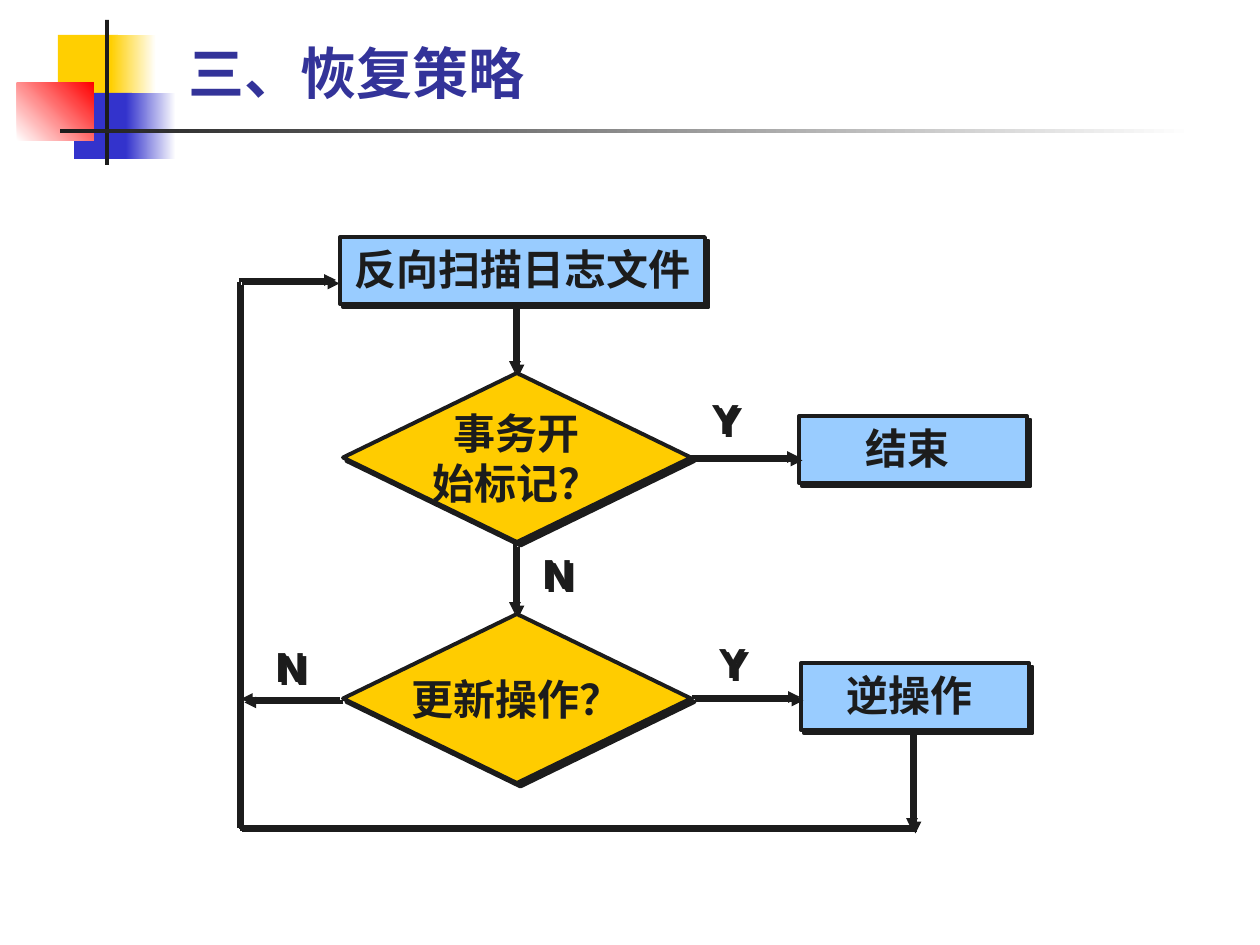
from dataclasses import dataclass

from lxml.etree import SubElement
from pptx import Presentation
from pptx.dml.color import RGBColor
from pptx.enum.shapes import MSO_CONNECTOR as CONN, MSO_SHAPE as SHAPE
from pptx.enum.text import MSO_ANCHOR as ANCHOR, PP_ALIGN as ALIGN
from pptx.oxml.ns import qn
from pptx.util import Emu, Pt

SCALE = 914400 / 126


@dataclass(frozen=True)
class Theme:
    ink: str = "1C1C1C"
    title: str = "333399"
    yellow: str = "FFCF01"
    blue: str = "3333CC"
    red: str = "FF0000"
    white: str = "FFFFFF"
    step: str = "99CCFF"
    decision: str = "FFCC00"
    title_font: str = "Noto Sans CJK SC"
    body_font: str = "Arial"
    title_size: int = 32
    body_size: int = 24
    line: float = 2.25


T = Theme()


def px(n):
    return Emu(round(n * SCALE))


def rgb(color):
    return RGBColor.from_string(color)


def place(box, x, y, w, h):
    return px(box[0] + x), px(box[1] + y), px(w), px(h)


def add_shadow(sp):
    effects = SubElement(sp._element.spPr, qn("a:effectLst"))
    shadow = SubElement(effects, qn("a:outerShdw"), dist="35560", dir="2700000",
                        algn="ctr", rotWithShape="0")
    SubElement(shadow, qn("a:srgbClr"), val=T.ink)


def write(sp, lines, font, size, color, align, anchor, wrap):
    tf = sp.text_frame
    tf.word_wrap = wrap
    tf.vertical_anchor = anchor
    for i, line in enumerate(lines):
        p = tf.paragraphs[0] if i == 0 else tf.add_paragraph()
        p.add_run().text = line
        p.alignment = align
        p.font.name = font
        p.font.size = Pt(size)
        p.font.bold = True
        p.font.color.rgb = rgb(color)
        SubElement(p._p.pPr.find(qn("a:defRPr")), qn("a:ea"), typeface=font)


def add_block(s, box, rect, start, end=None, angle=0):
    sp = s.shapes.add_shape(SHAPE.RECTANGLE, *place(box, *rect))
    sp.shadow.inherit = False
    sp.line.fill.background()
    if end is None:
        sp.fill.solid()
        sp.fill.fore_color.rgb = rgb(start)
        return
    sp.fill.gradient()
    sp.fill.gradient_angle = angle
    for stop, color, position in zip(sp.fill.gradient_stops, (start, end), (0, 1)):
        stop.color.rgb = rgb(color)
        stop.position = position


def add_header(s, box):
    add_block(s, box, (41, 15, 60, 66), T.yellow)
    add_block(s, box, (94, 15, 45, 66), T.yellow, T.white)
    add_block(s, box, (57, 73, 58, 66), T.blue)
    add_block(s, box, (109, 73, 50, 66), T.blue, T.white)
    add_block(s, box, (0, 63, 77, 58), T.white, T.red, 45)
    add_block(s, box, (88, 0, 4, 145), T.ink)
    add_block(s, box, (43, 109, 1134, 4), T.ink, T.white)
    title = s.shapes.add_textbox(*place(box, 159, 25, 930, 54))
    write(title, ["三、恢复策略"], T.title_font, T.title_size, T.title,
          ALIGN.LEFT, ANCHOR.MIDDLE, True)


def add_node(s, box, kind, rect, lines, color, anchor, wrap):
    sp = s.shapes.add_shape(kind, *place(box, *rect))
    sp.fill.solid()
    sp.fill.fore_color.rgb = rgb(color)
    sp.line.color.rgb = rgb(T.ink)
    sp.line.width = Pt(T.line)
    add_shadow(sp)
    write(sp, lines, T.body_font, T.body_size, T.ink, ALIGN.CENTER, anchor, wrap)


def add_link(s, box, x1, y1, x2, y2, arrow=True):
    start, end = (px(box[0] + x1), px(box[1] + y1)), (px(box[0] + x2), px(box[1] + y2))
    link = s.shapes.add_connector(CONN.STRAIGHT, *start, *end)
    link.line.color.rgb = rgb(T.ink)
    link.line.width = Pt(T.line)
    if arrow:
        SubElement(link.line._get_or_add_ln(), qn("a:tailEnd"), type="triangle")
    add_shadow(link)


def add_flowchart(s, box):
    steps = [
        ((101, 0, 365, 67), "反向扫描日志文件", False),
        ((562, 426, 228, 67), "逆操作 ", True),
        ((560, 179, 228, 67), "结束 ", True),
    ]
    for rect, text, wrap in steps:
        add_node(s, box, SHAPE.RECTANGLE, rect, [text], T.step, ANCHOR.TOP, wrap)

    decisions = [(136, ["事务开", "始标记？"]), (377, ["更新操作？"])]
    for y, lines in decisions:
        add_node(s, box, SHAPE.DIAMOND, (104, y, 348, 169), lines,
                 T.decision, ANCHOR.MIDDLE, False)

    arrows = [
        (276, 67, 276, 136),
        (276, 307, 276, 377),
        (450, 220, 560, 220),
        (453, 460, 561, 460),
        (101, 462, 2, 462),
        (0, 43, 97, 43),
        (673, 494, 673, 593),
    ]
    for ends in arrows:
        add_link(s, box, *ends)
    add_link(s, box, 0, 45, 0, 591, arrow=False)
    add_link(s, box, 0, 590, 675, 590, arrow=False)

    answers = [("Y", 460, 149), ("N", 291, 304), ("Y", 467, 393), ("N", 24, 397)]
    for text, x, y in answers:
        label = s.shapes.add_textbox(*place(box, x, y, 54, 63))
        add_shadow(label)
        write(label, [text], T.body_font, T.body_size, T.ink,
              ALIGN.LEFT, ANCHOR.TOP, False)


def main():
    prs = Presentation()
    prs.slide_width, prs.slide_height = px(1260), px(945)
    s = prs.slides.add_slide(prs.slide_layouts[6])
    add_header(s, (17, 20))
    add_flowchart(s, (239, 237))
    prs.save("out.pptx")


if __name__ == "__main__":
    main()
